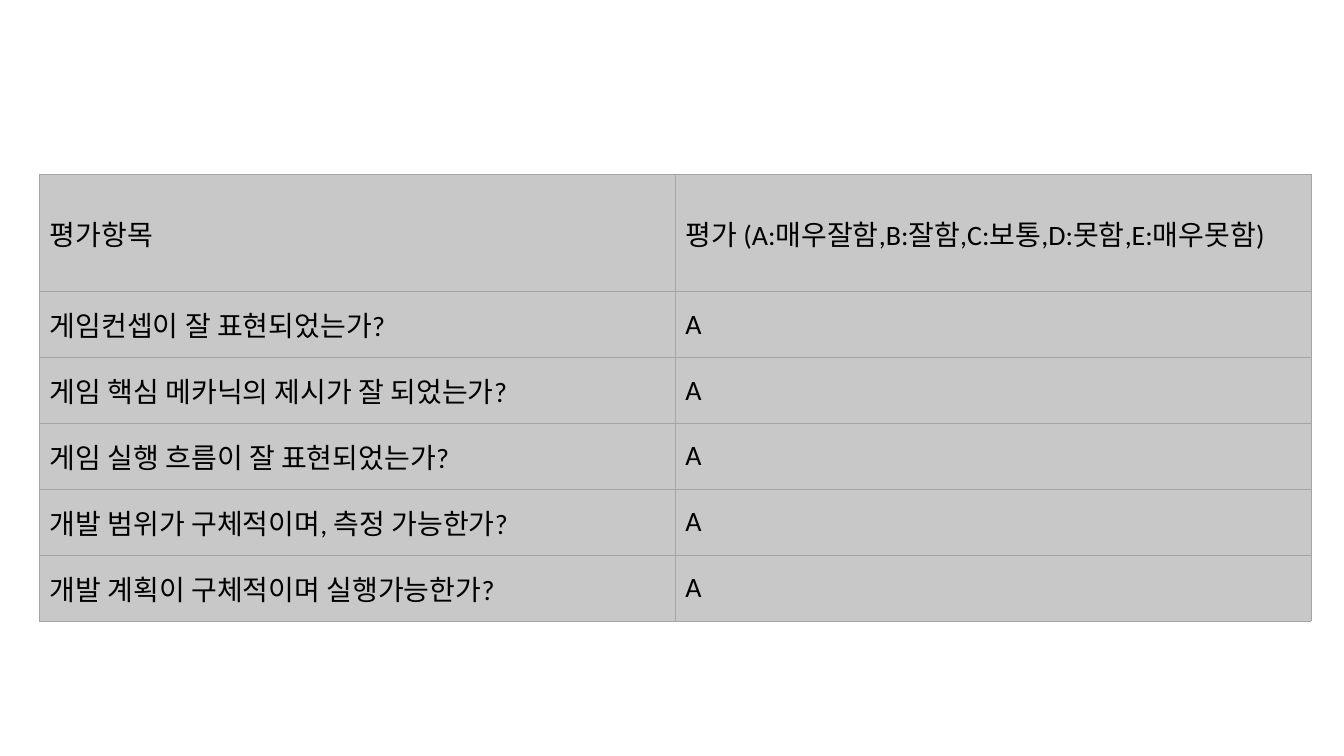
from lxml import etree
from pptx import Presentation
from pptx.dml.color import RGBColor
from pptx.enum.text import MSO_ANCHOR
from pptx.oxml.ns import qn
from pptx.util import Cm, Pt

MIDDLE = MSO_ANCHOR.MIDDLE
BLACK = RGBColor(0x00, 0x00, 0x00)
CELL_GRAY = RGBColor(0xC8, 0xC8, 0xC8)
BORDER_GRAY = RGBColor(0xA5, 0xA5, 0xA5)

BORDER_WIDTH = Pt(0.5)
TEXT_FORMAT = {"name": "Calibri", "size": Pt(20), "bold": False}
COLUMN_WIDTH = Cm(16.02)
HEADER_HEIGHT = Cm(2.95)
ROW_HEIGHT = Cm(1.66)

HEADER = ("평가항목", "평가 (A:매우잘함,B:잘함,C:보통,D:못함,E:매우못함)")
GRADES = (
    ("게임컨셉이 잘 표현되었는가?", "A"),
    ("게임 핵심 메카닉의 제시가 잘 되었는가?", "A"),
    ("게임 실행 흐름이 잘 표현되었는가?", "A"),
    ("개발 범위가 구체적이며, 측정 가능한가?", "A"),
    ("개발 계획이 구체적이며 실행가능한가?", "A"),
)


def add_borders(cell):
    """Draw a thin solid line on every side of a cell."""
    properties = cell._tc.get_or_add_tcPr()
    for side in ("a:lnL", "a:lnR", "a:lnT", "a:lnB"):
        line = etree.SubElement(properties, qn(side), w=str(BORDER_WIDTH))
        fill = etree.SubElement(line, qn("a:solidFill"))
        etree.SubElement(fill, qn("a:srgbClr"), val=str(BORDER_GRAY))


def fill_cell(cell, text):
    """Write one cell and give it its borders, fill and font."""
    add_borders(cell)
    cell.fill.solid()
    cell.fill.fore_color.rgb = CELL_GRAY
    cell.vertical_anchor = MIDDLE
    span = cell.text_frame.paragraphs[0].add_run()
    span.text = text
    for name, value in TEXT_FORMAT.items():
        setattr(span.font, name, value)
    span.font.color.rgb = BLACK


def add_grade_table(page, left, top):
    """Add the table of evaluation items and their grades."""
    rows = (HEADER, *GRADES)
    width = COLUMN_WIDTH * len(HEADER)
    height = HEADER_HEIGHT + ROW_HEIGHT * len(GRADES)
    table = page.shapes.add_table(
        len(rows), len(HEADER), left, top, width, height
    ).table
    for column in table.columns:
        column.width = COLUMN_WIDTH
    for index, texts in enumerate(rows):
        table.rows[index].height = ROW_HEIGHT if index else HEADER_HEIGHT
        for cell, text in zip(table.rows[index].cells, texts):
            fill_cell(cell, text)


def main():
    """Build the evaluation slide and save the deck."""
    deck = Presentation()
    deck.slide_width, deck.slide_height = Cm(33.87), Cm(19.05)
    page = deck.slides.add_slide(deck.slide_layouts[6])
    add_grade_table(page, Cm(1), Cm(4.4))
    deck.save("out.pptx")


main()
